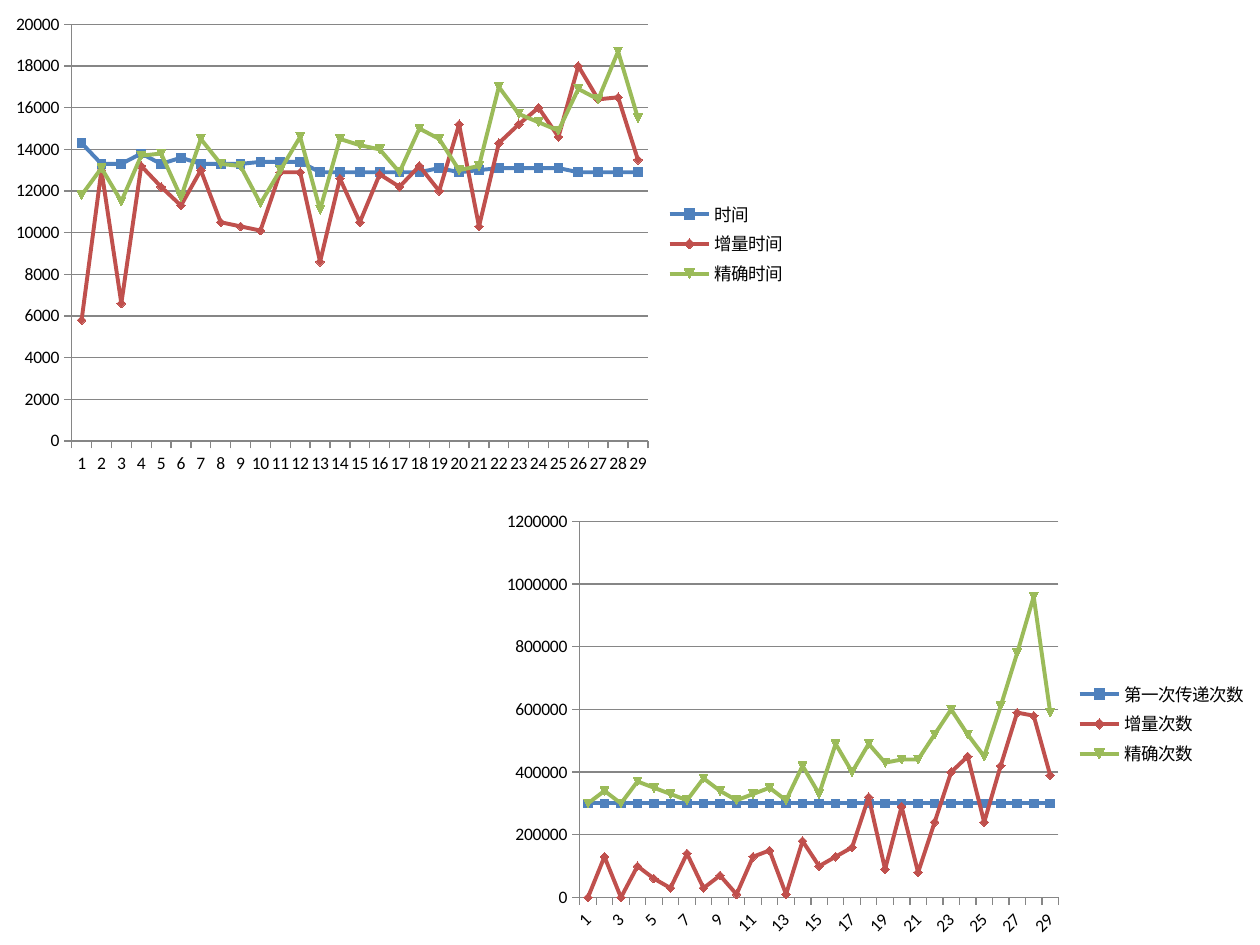
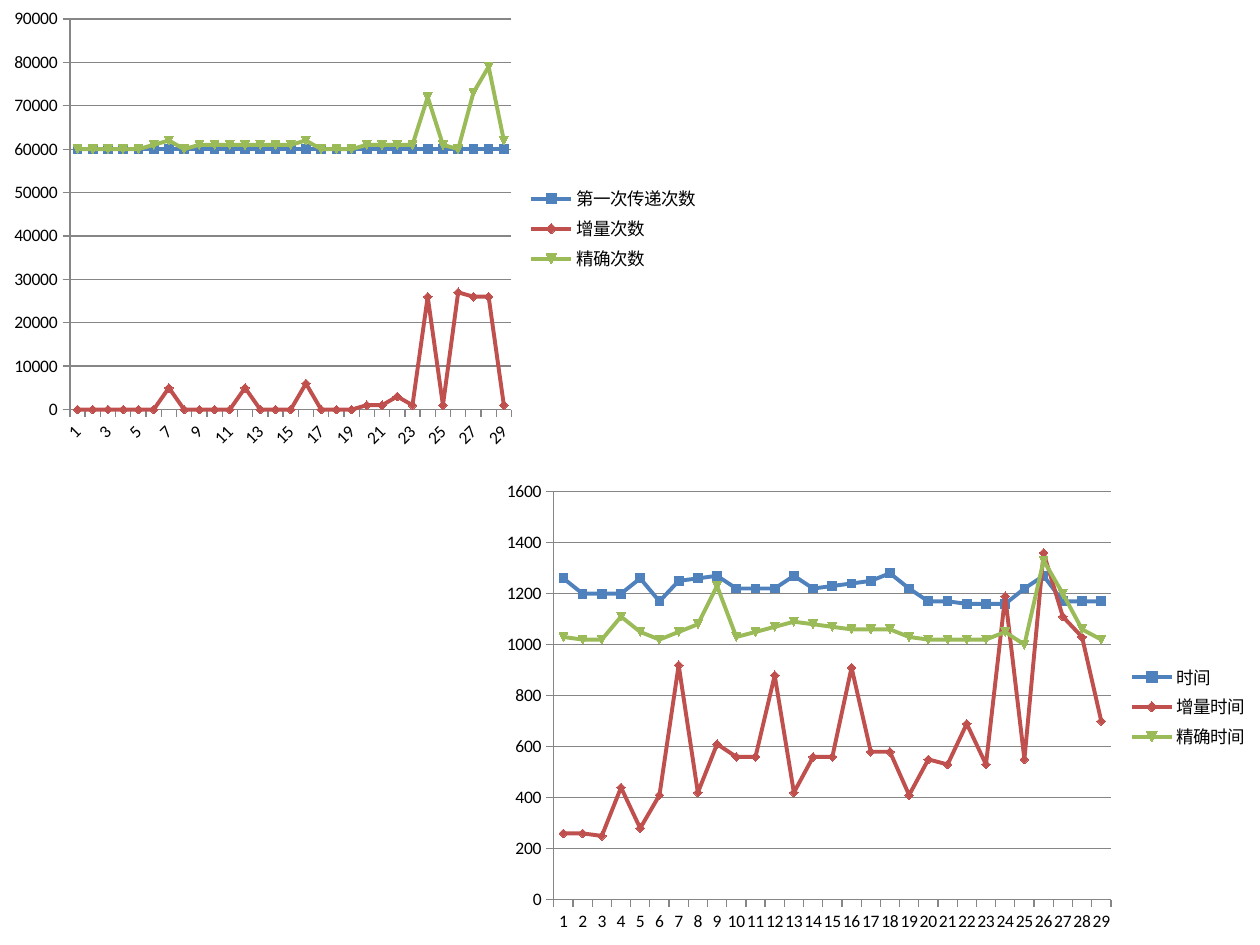
from pptx import Presentation
from pptx.chart.data import CategoryChartData
from pptx.dml.color import RGBColor
from pptx.enum.chart import (XL_CHART_TYPE as ChartType,
                             XL_LEGEND_POSITION as LegendPosition,
                             XL_TICK_MARK as TickMark)
from pptx.util import Inches, Pt

FONT = "Calibri"
TEXT_COLOR = "000000"
AXIS_COLOR = "868686"
SERIES_COLORS = ["4F81BD", "C0504D", "9BBB59"]
ROUNDS = 29
COUNT_NAMES = ["第一次传递次数", "增量次数", "精确次数"]
TIME_NAMES = ["时间", "增量时间", "精确时间"]
_ = None  # a figure that lies on the straight line between its neighbours

# Each chart: place in inches, series names, unit of the figures,
# and one row of figures per series.
SLIDES = [
    [
        {"place": (3.9, 3.99, 6.1, 3.51), "names": COUNT_NAMES, "unit": 10000,
         "rows": [
             [30] * ROUNDS,
             [0, 13, 0, 10, _, 3, 14, 3, 7, 1, 13, 15, 1, 18, 10, _, 16, 32, 9,
              29, 8, _, 40, 45, 24, _, 59, 58, 39],
             [30, 34, 30, 37, _, _, 31, 38, _, 31, _, 35, 31, 42, 33, 49,
              40, 49, 43, _, 44, _, 60, _, 45, 61, _, 96, 59]]},
        {"place": (0, 0.04, 6.34, 3.79), "names": TIME_NAMES, "unit": 100,
         "rows": [
             [143, 133, 133, 138, 133, 136, 133, _, _, _, _, 134] + [129] * 6
             + [131, 129, _, 131, _, _, 131, 129, _, _, 129],
             [58, 130, 66, 132, _, 113, 130, 105, _, 101, 129, 129, 86, 126,
              105, 128, 122, 132, 120, 152, 103, 143, _, 160, 146, 180, 164,
              165, 135],
             [118, 131, 115, 137, 138, 117, 145, 133, 132, 114, _, 146, 111,
              145, _, 140, 129, 150, 145, 130, 132, 170, 157, _, 149, 169,
              164, 187, 155]]},
    ],
    [
        {"place": (0, 0, 5.65, 3.63), "names": COUNT_NAMES, "unit": 1000,
         "rows": [
             [60] * ROUNDS,
             [0, _, _, _, _, 0, 5, 0, _, _, 0, 5, 0, _, 0, 6, 0, _, _, _, 1, 3,
              1, 26, 1, 27, _, 26, 1],
             [60, _, _, _, 60, 61, 62, 60, 61, _, _, _, _, _, 61, 62, 60, _, 60,
              61, _, _, 61, 72, 61, 60, 73, 79, 62]]},
        {"place": (3.9, 3.75, 6.11, 3.72), "names": TIME_NAMES, "unit": 10,
         "rows": [
             [126, 120, _, 120, 126, 117, 125, _, 127, 122, _, 122, 127, 122,
              _, _, 125, 128, 122, 117, _, _, _, 116, _, 127, 117, _, 117],
             [26, _, 25, 44, 28, 41, 92, 42, 61, 56, 56, 88, 42, 56, 56, 91, 58,
              58, 41, 55, 53, 69, 53, 119, 55, 136, 111, 103, 70],
             [103, _, 102, 111, 105, 102, _, 108, 123, 103, _, _, 109, _, _,
              106, _, 106, 103, 102, _, _, 102, 105, 100, 133, _, 106, 102]]},
    ],
]


def color(value):
    """Turn a hex string into a colour."""
    return RGBColor.from_string(value)


def fill_gaps(row):
    """Put evenly spaced figures where a row leaves them out."""
    known = [index for index, figure in enumerate(row) if figure is not None]
    full = [row[0]]
    for start, end in zip(known, known[1:]):
        step = (row[end] - row[start]) / (end - start)
        full += [round(row[start] + step * count)
                 for count in range(1, end - start + 1)]
    return full


def style_line(line, value, width):
    """Give a line its colour and its width in points."""
    line.color.rgb = color(value)
    line.width = Pt(width)


def style_axes(chart):
    """Draw both axes and the grid in grey."""
    for axis in (chart.category_axis, chart.value_axis):
        axis.major_tick_mark = TickMark.OUTSIDE
        axis.minor_tick_mark = TickMark.NONE
        style_line(axis.format.line, AXIS_COLOR, 0.75)
    chart.value_axis.has_major_gridlines = True
    style_line(chart.value_axis.major_gridlines.format.line, AXIS_COLOR, 0.75)


def style_series(series, value):
    """Draw a straight line with markers in one colour."""
    series.smooth = False
    style_line(series.format.line, value, 2.25)
    marker = series.marker.format
    marker.fill.solid()
    marker.fill.fore_color.rgb = color(value)
    style_line(marker.line, value, 0.75)


def add_line_chart(page, place, names, unit, rows):
    """Add one line chart with its legend on the right."""
    data = CategoryChartData()
    data.categories = [str(number + 1) for number in range(ROUNDS)]
    for name, row in zip(names, rows):
        data.add_series(name, [figure * unit for figure in fill_gaps(row)])
    chart = page.shapes.add_chart(
        ChartType.LINE_MARKERS, *map(Inches, place), data).chart
    chart.has_title = False
    chart.font.name = FONT
    chart.font.size = Pt(10)
    chart.font.color.rgb = color(TEXT_COLOR)
    chart.has_legend = True
    chart.legend.position = LegendPosition.RIGHT
    chart.legend.include_in_layout = False
    chart.plots[0].vary_by_categories = False
    style_axes(chart)
    for series, value in zip(chart.plots[0].series, SERIES_COLORS):
        style_series(series, value)


def build():
    """Build the slides and save the deck."""
    deck = Presentation()
    deck.slide_width, deck.slide_height = Inches(10), Inches(7.5)
    for charts in SLIDES:
        page = deck.slides.add_slide(deck.slide_layouts[6])
        for chart in charts:
            add_line_chart(page, **chart)
    deck.save("out.pptx")


build()
